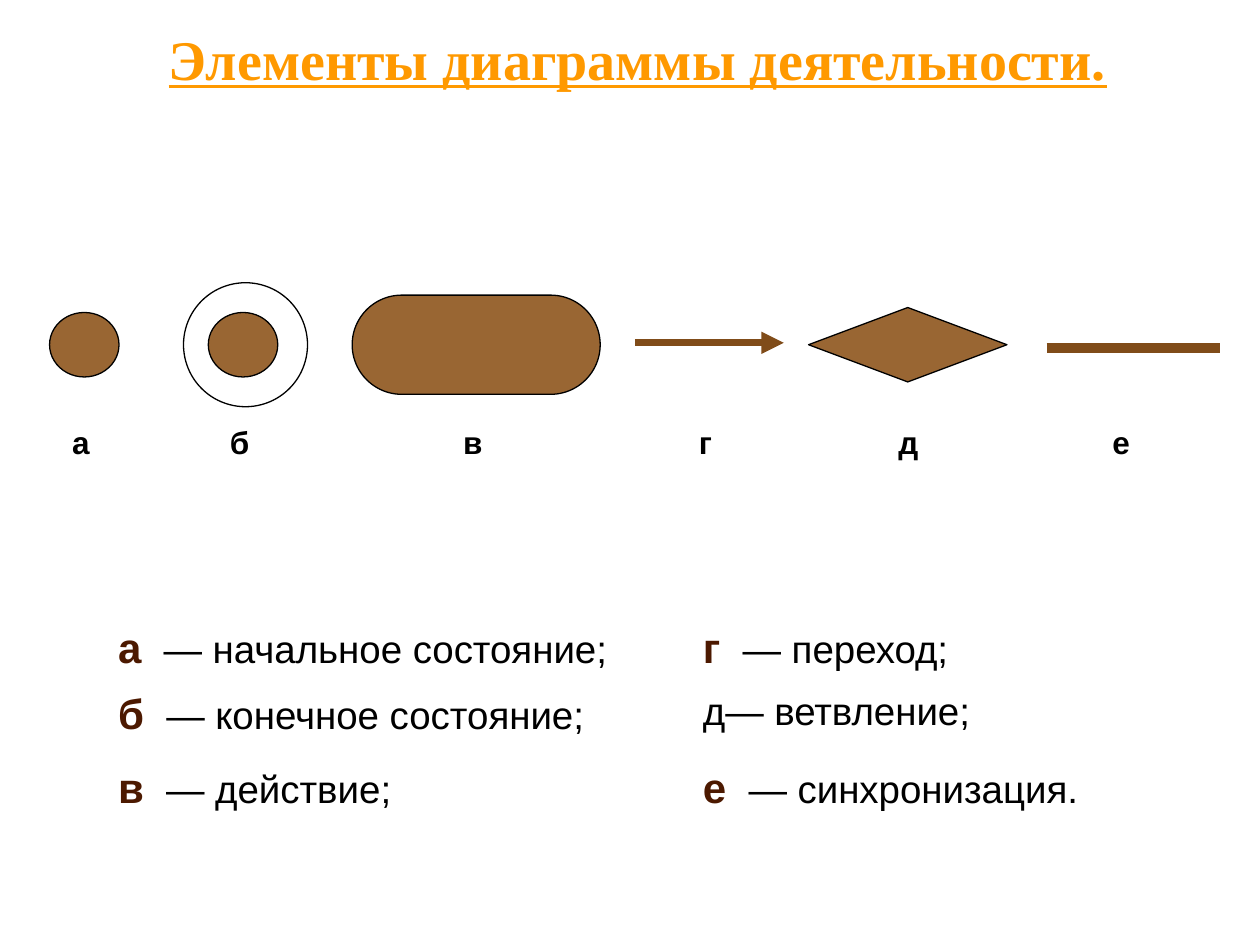
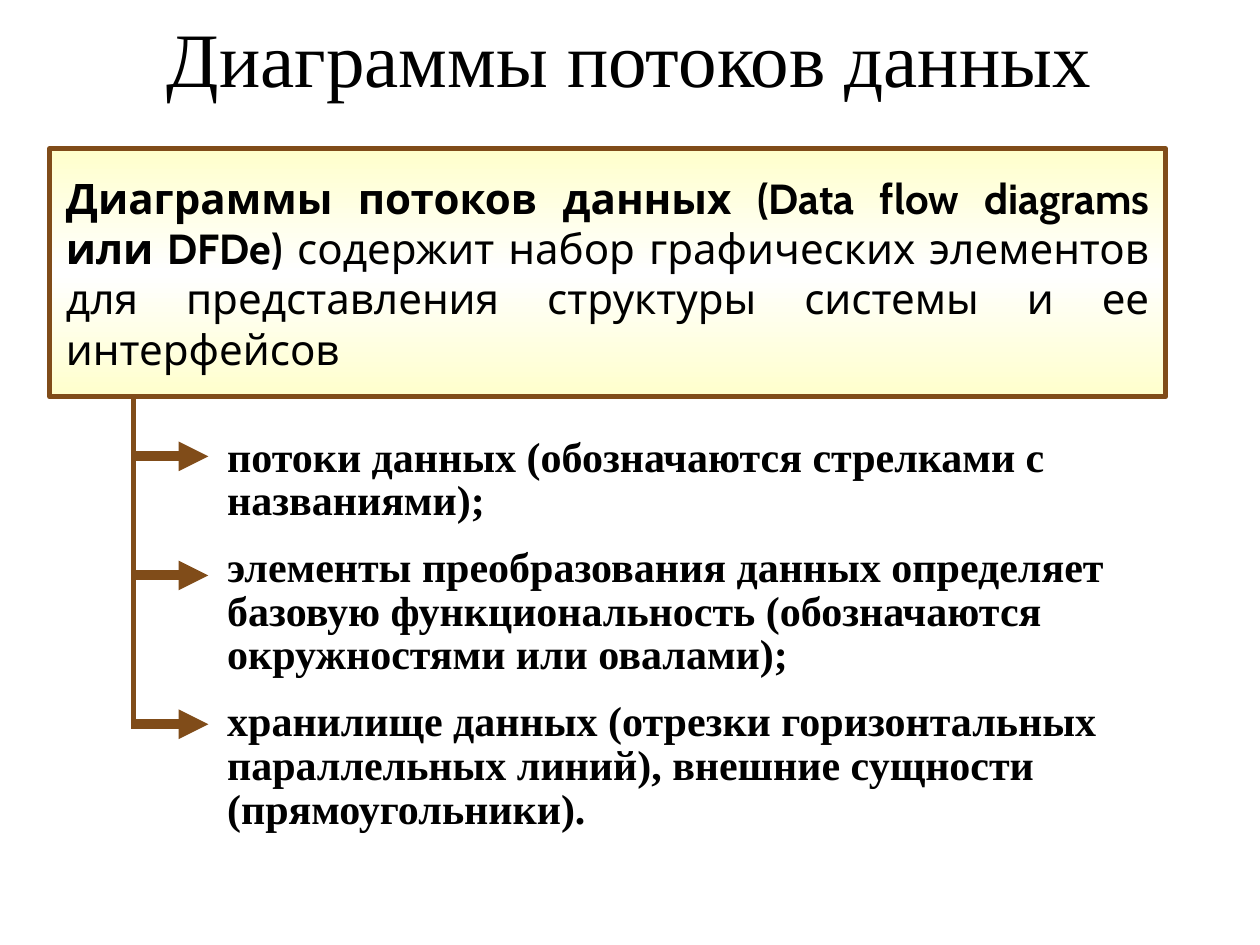
from copy import deepcopy

from lxml import etree
from pptx import Presentation
from pptx.dml.color import RGBColor
from pptx.enum import shapes, text
from pptx.oxml import ns
from pptx.util import Cm, Pt

# Shared look
BLACK, ORANGE = "000000", "FF9900"
BROWN, DARK_BROWN, LINE_BROWN = "996633", "4C1900", "804C19"
CREAM, WHITE = "FFFFCC", "FFFFFF"
SERIF, SANS, ACCENT_FONT = "Times New Roman", "Arial", "Cabin"
KIND = shapes.MSO_SHAPE
ALIGN = text.PP_ALIGN
ANCHOR = text.MSO_ANCHOR


def rgb(value):
    return RGBColor.from_string(value)


def add_run(p, words, size, font, color=BLACK, bold=False, underline=False):
    r = p.add_run()
    r.text = words
    r.font.size = Pt(size)
    r.font.name = font
    r.font.bold = bold
    r.font.underline = underline
    r.font.color.rgb = rgb(color)


def set_frame(tf, anchor=ANCHOR.TOP, inset_x=0.25, inset_y=0.13):
    tf.word_wrap = True
    tf.auto_size = text.MSO_AUTO_SIZE.NONE
    tf.vertical_anchor = anchor
    tf.margin_left = tf.margin_right = Cm(inset_x)
    tf.margin_top = tf.margin_bottom = Cm(inset_y)


def add_text_box(s, x, y, w, h, **frame):
    tf = s.shapes.add_textbox(Cm(x), Cm(y), Cm(w), Cm(h)).text_frame
    set_frame(tf, **frame)
    return tf


def add_figure(s, kind, x, y, w, h, fill=BROWN, line=BLACK, width=0.75):
    sp = s.shapes.add_shape(kind, Cm(x), Cm(y), Cm(w), Cm(h))
    sp.shadow.inherit = False
    if fill:
        sp.fill.solid()
        sp.fill.fore_color.rgb = rgb(fill)
    else:
        sp.fill.background()
    sp.line.color.rgb = rgb(line)
    sp.line.width = Pt(width)
    return sp


def add_line(s, x1, y1, x2, y2, width, arrow=False):
    c = s.shapes.add_connector(shapes.MSO_CONNECTOR.STRAIGHT,
                               Cm(x1), Cm(y1), Cm(x2), Cm(y2))
    c.line.color.rgb = rgb(LINE_BROWN)
    c.line.width = Pt(width)
    if arrow:
        etree.SubElement(c.line._get_or_add_ln(), ns.qn("a:tailEnd"), type="triangle")
    etree.SubElement(c._element.spPr, ns.qn("a:effectLst"))


def add_titled_slide(prs, title, x, y, w, h, size, **style):
    s = prs.slides.add_slide(prs.slide_layouts[5])
    sp = s.shapes.title
    sp.left, sp.top, sp.width, sp.height = Cm(x), Cm(y), Cm(w), Cm(h)
    set_frame(sp.text_frame, ANCHOR.MIDDLE)
    p = sp.text_frame.paragraphs[0]
    p.alignment = ALIGN.CENTER
    add_run(p, title, size, SERIF, **style)
    return s


# Activity diagram: row of symbols centred on one axis
def draw_symbols(s, x, axis):
    def centred(kind, dx, w, h, **style):
        return add_figure(s, kind, x + dx, axis - h / 2, w, h, **style)

    ring = centred(KIND.DONUT, 2.7, 2.5, 2.5, fill=None)
    ring.adjustments[0] = 0.25
    for dx in (3.2, 0):
        centred(KIND.OVAL, dx, 1.4, 1.3)
    action = centred(KIND.ROUNDED_RECTANGLE, 6.1, 5, 2)
    action.adjustments[0] = 0.5
    add_line(s, x + 11.8, axis - 0.04, x + 14.8, axis - 0.04, 4.25, arrow=True)
    centred(KIND.DIAMOND, 15.3, 4, 1.5)
    add_line(s, x + 20.1, axis + 0.06, x + 23.6, axis + 0.06, 5.67)


# Letters under the symbols, each centred on its symbol
def draw_letters(s, x, y):
    width = 2.4
    centres = (0.63, 3.83, 8.53, 13.22, 17.31, 21.6)
    for letter, centre in zip("абвгде", centres):
        p = add_text_box(s, x + centre - width / 2, y, width, 1).paragraphs[0]
        p.alignment = ALIGN.CENTER
        add_run(p, letter, 18, SANS, bold=True)


# Legend in two columns
def draw_legend(s, x, y):
    columns = (
        (("а ", " — начальное состояние;"),
         ("б ", " — конечное состояние;"),
         ("в ", " — действие;")),
        (("г ", " — переход;"),
         ("", "д— ветвление;"),
         ("е ", " — синхронизация.")),
    )
    for i, entries in enumerate(columns):
        for dy, (letter, meaning) in zip((0, 1.32, 2.82), entries):
            p = add_text_box(s, x + i * 11.79, y + dy, 10.67, 1.27).paragraphs[0]
            if letter:
                add_run(p, letter, 24, SANS, DARK_BROWN, bold=True)
            add_run(p, meaning, 22, SANS)


def build_activity_slide(prs):
    s = add_titled_slide(prs, "Элементы диаграммы деятельности.",
                         0.41, 0.36, 24.89, 1.63, 32,
                         color=ORANGE, bold=True, underline=True)
    draw_symbols(s, 1, 6.95)
    draw_letters(s, 1, 8.4)
    draw_legend(s, 2.13, 12.4)


# Data flow: stem with one arrow for each element
def draw_branches(s, x, y):
    for dy in (2.5, 4.9, 7.9):
        add_line(s, x, y + dy, x + 1.5, y + dy, 5.67, arrow=True)
    add_line(s, x, y, x, y + 8, 2.83)


def draw_elements(s, x, y, w, h):
    elements = (
        "потоки данных (обозначаются стрелками с названиями);",
        "элементы преобразования данных определяет базовую "
        "функциональность (обозначаются окружностями или овалами);",
        "хранилище данных (отрезки горизонтальных параллельных линий), "
        "внешние сущности (прямоугольники).",
    )
    tf = add_text_box(s, x, y, w, h, anchor=ANCHOR.MIDDLE, inset_x=0.28, inset_y=0.15)
    for i, element in enumerate(elements):
        p = tf.add_paragraph() if i else tf.paragraphs[0]
        p.line_spacing = 0.87
        p.space_after = Pt(12.9)
        add_run(p, element, 24, SERIF, bold=True)


# Definition in a framed box, cream fading to white in the middle
def draw_definition(s, x, y, w, h):
    sp = add_figure(s, KIND.RECTANGLE, x, y, w, h, line=LINE_BROWN, width=2.83)
    sp.fill.gradient()
    sp.fill.gradient_angle = 90
    stop_list = sp._element.spPr.find(".//" + ns.qn("a:gsLst"))
    stop_list.append(deepcopy(stop_list[-1]))
    for i, (stop, color) in enumerate(zip(sp.fill.gradient_stops, (CREAM, WHITE, CREAM))):
        stop.position = i / 2
        stop.color.rgb = rgb(color)
    set_frame(sp.text_frame, ANCHOR.MIDDLE, 0.33, 0.2)
    p = sp.text_frame.paragraphs[0]
    p.alignment = ALIGN.JUSTIFY
    add_run(p, "Диаграммы потоков данных (Data flow diagrams или DFDe) ",
            24, ACCENT_FONT, bold=True)
    add_run(p, "содержит набор графических элементов для представления "
            "структуры системы и ее интерфейсов", 24, ACCENT_FONT)


def build_data_flow_slide(prs):
    s = add_titled_slide(prs, "Диаграммы потоков данных", 1.27, -0.3, 22.83, 2.9, 44)
    draw_branches(s, 2.7, 6.7)
    draw_elements(s, 4.3, 8.6, 18.4, 8.4)
    draw_definition(s, 1, 3, 22.5, 5)


def main():
    prs = Presentation()
    prs.slide_width, prs.slide_height = Cm(25.4), Cm(19.05)
    build_activity_slide(prs)
    build_data_flow_slide(prs)
    prs.save("out.pptx")


if __name__ == "__main__":
    main()
